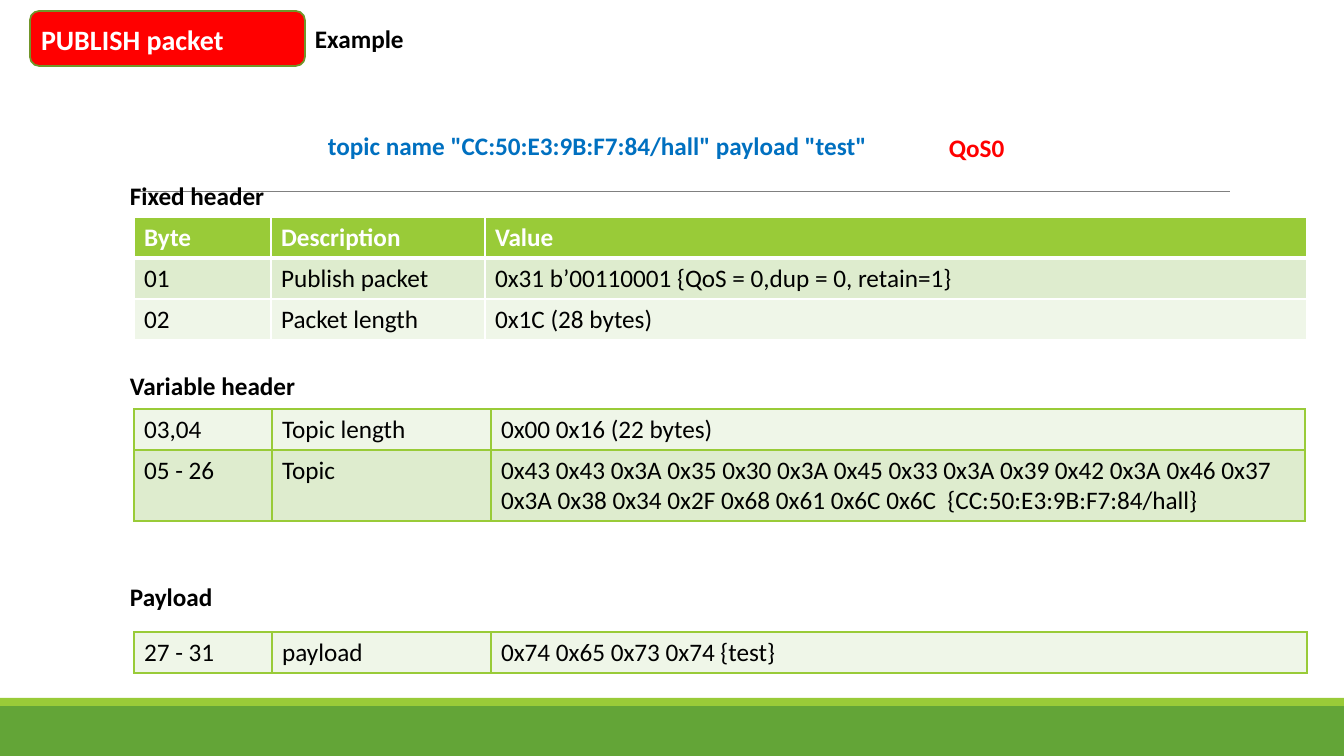
"""Build the slide that walks through an example PUBLISH packet."""
import dataclasses
import typing

import lxml.etree
import pptx
import pptx.dml.color
import pptx.enum.shapes
import pptx.enum.text
import pptx.oxml.ns
import pptx.util

EMU_PER_PX = 12192000 / 1344
TABLE_LEFT = 134
LABEL_LEFT = 120
ROW_HEIGHT = 41
TEXT_HEIGHT = 40


@dataclasses.dataclass(frozen=True)
class Theme:
    font: str = "Calibri"
    title_size: int = 20
    body_size: int = 18
    white: str = "FFFFFF"
    black: str = "000000"
    red: str = "FF0000"
    blue: str = "0070C0"
    rule: str = "808080"
    green: str = "63A537"
    lime: str = "99CB38"
    outline: str = "719629"
    band_dark: str = "DEECCE"
    band_light: str = "EFF6E8"


THEME = Theme()


class Frame(typing.NamedTuple):
    left: int
    top: int
    width: int
    height: int


class Panel(typing.NamedTuple):
    frame: Frame
    fill: str
    kind: pptx.enum.shapes.MSO_SHAPE = pptx.enum.shapes.MSO_SHAPE.RECTANGLE
    outline: str = ""


class Label(typing.NamedTuple):
    frame: Frame
    text: str
    color: str = THEME.black


class Row(typing.NamedTuple):
    fill: str
    cells: tuple[str, ...]
    height: int = ROW_HEIGHT


class Grid(typing.NamedTuple):
    top: int
    columns: tuple[int, ...]
    rows: tuple[Row, ...]
    border: str = THEME.lime
    has_header: bool = False


PANELS = (
    Panel(Frame(0, 706, 1344, 50), THEME.green),
    Panel(Frame(0, 698, 1344, 8), THEME.lime),
    Panel(Frame(30, 11, 275, 55), THEME.red,
          pptx.enum.shapes.MSO_SHAPE.ROUNDED_RECTANGLE, THEME.outline),
)
TITLE = Label(Frame(31, 17, 274, 44), "PUBLISH packet", THEME.white)
LABELS = (
    Label(Frame(305, 18, 128, TEXT_HEIGHT), "Example"),
    Label(Frame(LABEL_LEFT, 175, 182, TEXT_HEIGHT), "Fixed header"),
    Label(Frame(318, 125, 637, TEXT_HEIGHT),
          'topic name "CC:50:E3:9B:F7:84/hall" payload "test"', THEME.blue),
    Label(Frame(LABEL_LEFT, 365, 222, TEXT_HEIGHT), "Variable header"),
    Label(Frame(LABEL_LEFT, 576, 122, TEXT_HEIGHT), "Payload"),
    Label(Frame(939, 127, 86, TEXT_HEIGHT), "QoS0", THEME.red),
)
TOPIC_BYTES = ("0x43 0x43 0x3A 0x35 0x30 0x3A 0x45 0x33 0x3A 0x39 0x42 0x3A 0x46 0x37 "
               "0x3A 0x38 0x34 0x2F 0x68 0x61 0x6C 0x6C  {CC:50:E3:9B:F7:84/hall}")
GRIDS = (
    Grid(217, (137, 214, 822), (
        Row(THEME.lime, ("Byte", "Description", "Value")),
        Row(THEME.band_dark, ("01", "Publish packet",
                              "0x31 b’00110001 {QoS = 0,dup = 0, retain=1}")),
        Row(THEME.band_light, ("02", "Packet length", "0x1C (28 bytes)")),
    ), THEME.white, True),
    Grid(409, (138, 219, 814), (
        Row(THEME.band_light, ("03,04", "Topic length", "0x00 0x16 (22 bytes)")),
        Row(THEME.band_dark, ("05 - 26", "Topic", TOPIC_BYTES), 71),
    )),
    Grid(632, (138, 219, 816), (
        Row(THEME.band_light, ("27 - 31", "payload", "0x74 0x65 0x73 0x74 {test}")),
    )),
)


def px(length: int) -> pptx.util.Emu:
    """Turn a length in px into EMU."""
    return pptx.util.Emu(round(length * EMU_PER_PX))


def rgb(color: str) -> pptx.dml.color.RGBColor:
    """Turn a hex string into a colour."""
    return pptx.dml.color.RGBColor.from_string(color)


def apply(target: typing.Any, values: dict[str, typing.Any]) -> None:
    """Set every named attribute on the target."""
    for name, value in values.items():
        setattr(target, name, value)


def write(text_frame: typing.Any, text: str, color: str, bold: bool, size: int) -> None:
    """Write one left-aligned formatted paragraph."""
    para = text_frame.paragraphs[0]
    para.alignment = pptx.enum.text.PP_ALIGN.LEFT
    span = para.add_run()
    span.text = text
    apply(span.font, {"name": THEME.font, "size": pptx.util.Pt(size), "bold": bold})
    span.font.color.rgb = rgb(color)


def draw_panel(page: typing.Any, panel: Panel) -> None:
    """Draw a filled shape with an optional outline."""
    box = page.shapes.add_shape(panel.kind, *map(px, panel.frame))
    box.shadow.inherit = False
    box.fill.solid()
    box.fill.fore_color.rgb = rgb(panel.fill)
    if panel.outline:
        box.line.color.rgb = rgb(panel.outline)
        box.line.width = pptx.util.Pt(1.25)
    else:
        box.line.fill.background()


def draw_rule(page: typing.Any) -> None:
    """Draw the thin rule across the page."""
    rule = page.shapes.add_connector(
        pptx.enum.shapes.MSO_CONNECTOR.STRAIGHT, *map(px, (132, 191, 1230, 191)))
    rule.line.color.rgb = rgb(THEME.rule)
    rule.line.width = pptx.util.Pt(0.5)
    lxml.etree.SubElement(rule.element.spPr, pptx.oxml.ns.qn("a:effectLst"))


def fill_label(box: typing.Any, label: Label, size: int, wrap: bool) -> None:
    """Give a text box its wording and layout."""
    apply(box.text_frame, {
        "word_wrap": wrap,
        "vertical_anchor": pptx.enum.text.MSO_ANCHOR.TOP,
        "auto_size": pptx.enum.text.MSO_AUTO_SIZE.SHAPE_TO_FIT_TEXT,
    })
    write(box.text_frame, label.text, label.color, True, size)


def draw_title(page: typing.Any) -> None:
    """Place the title on top of its badge."""
    title = page.shapes.title
    apply(title, dict(zip(Frame._fields, map(px, TITLE.frame))))
    fill_label(title, TITLE, THEME.title_size, True)
    page.shapes[-1].element.addnext(title.element)


def draw_borders(cell: typing.Any, color: str, widths: dict[str, int]) -> None:
    """Draw the four borders of a cell."""
    properties = cell._tc.get_or_add_tcPr()
    for side, width in widths.items():
        line = lxml.etree.SubElement(properties, pptx.oxml.ns.qn(f"a:ln{side}"),
                                     w=str(pptx.util.Pt(width)))
        fill = lxml.etree.SubElement(line, pptx.oxml.ns.qn("a:solidFill"))
        lxml.etree.SubElement(fill, pptx.oxml.ns.qn("a:srgbClr"), val=color)


def draw_grid(page: typing.Any, grid: Grid) -> None:
    """Draw a table with its bands and borders."""
    frame = Frame(TABLE_LEFT, grid.top, sum(grid.columns), sum(row.height for row in grid.rows))
    table = page.shapes.add_table(len(grid.rows), len(grid.columns), *map(px, frame)).table
    apply(table, {"first_row": grid.has_header, "horz_banding": False})
    for column, width in zip(table.columns, grid.columns):
        column.width = px(width)
    for index, row in enumerate(grid.rows):
        table.rows[index].height = px(row.height)
        is_header = grid.has_header and index == 0
        below_header = grid.has_header and index == 1
        widths = {"L": 1, "R": 1, "T": 3 if below_header else 1, "B": 3 if is_header else 1}
        for cell, text in zip(table.rows[index].cells, row.cells):
            draw_borders(cell, grid.border, widths)
            cell.fill.solid()
            cell.fill.fore_color.rgb = rgb(row.fill)
            write(cell.text_frame, text, THEME.white if is_header else THEME.black,
                  is_header, THEME.body_size)


def main() -> None:
    """Build and save the deck."""
    deck = pptx.Presentation()
    apply(deck, {"slide_width": px(1344), "slide_height": px(756)})
    page = deck.slides.add_slide(deck.slide_layouts.get_by_name("Title Only"))
    draw_rule(page)
    for panel in PANELS:
        draw_panel(page, panel)
    draw_title(page)
    for grid in GRIDS:
        draw_grid(page, grid)
    for label in LABELS:
        box = page.shapes.add_textbox(*map(px, label.frame))
        fill_label(box, label, THEME.body_size, False)
    deck.save("out.pptx")


if __name__ == "__main__":
    main()
